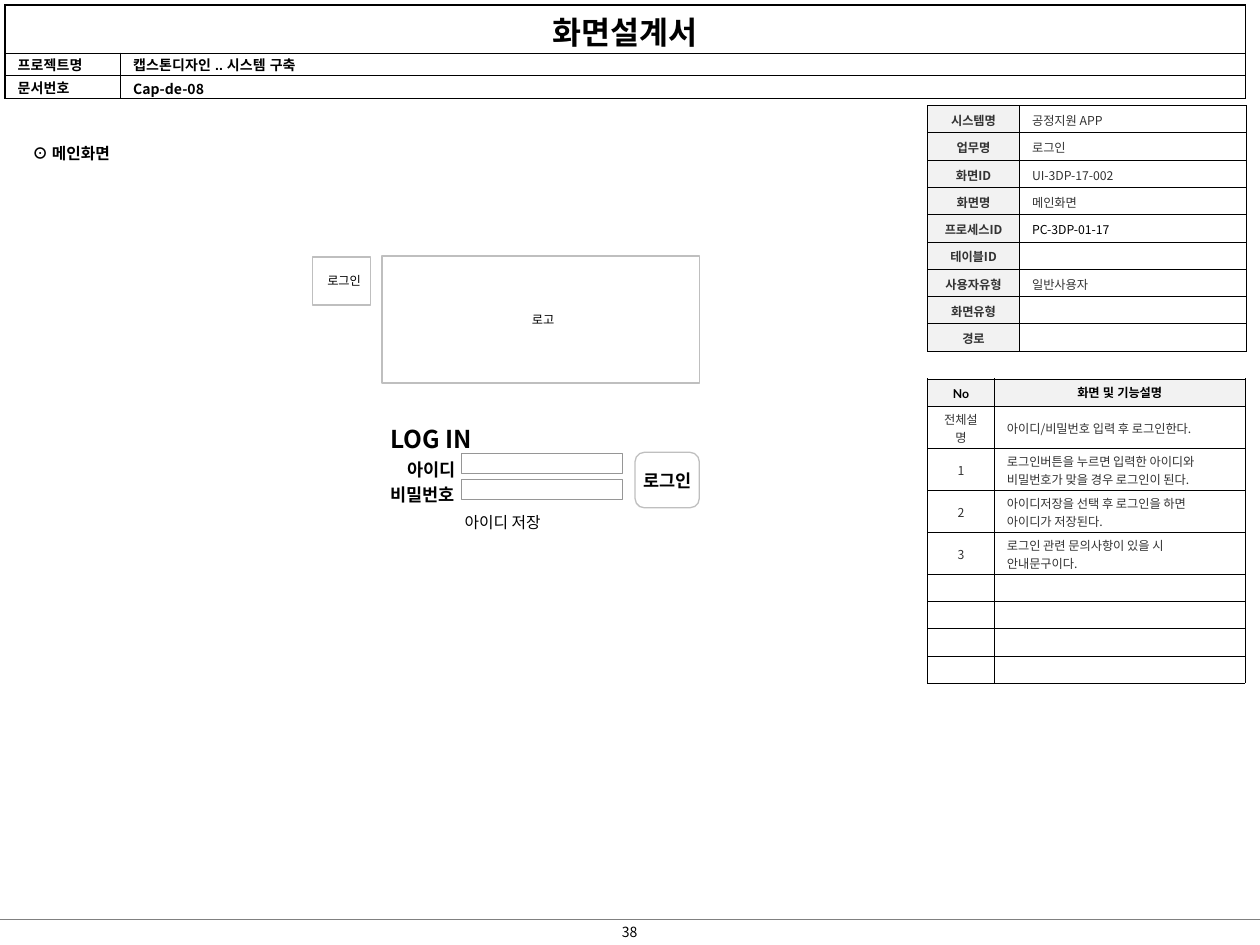
"""Build a screen design document slide for a login page."""
import pptx
import pptx.dml.color
import pptx.enum.shapes
import pptx.enum.text
import pptx.oxml.ns
import pptx.util
from lxml import etree

Pt = pptx.util.Pt
RGBColor = pptx.dml.color.RGBColor
Align = pptx.enum.text.PP_ALIGN
Anchor = pptx.enum.text.MSO_ANCHOR
ShapeType = pptx.enum.shapes.MSO_SHAPE
qn = pptx.oxml.ns.qn

BLACK = RGBColor(0x00, 0x00, 0x00)
DARK = RGBColor(0x33, 0x33, 0x33)
GRAY = RGBColor(0x80, 0x80, 0x80)
FIELD_LINE = RGBColor(0x96, 0x96, 0x96)
BOX_LINE = RGBColor(0xBF, 0xBF, 0xBF)
LABEL_FILL = RGBColor(0xF2, 0xF2, 0xF2)
WHITE = RGBColor(0xFF, 0xFF, 0xFF)
SANS = "Noto Sans CJK KR"
ARIAL = "Arial"
LATO = "Lato"

DOCUMENT_TITLE = "화면설계서"
DOCUMENT_ROWS = [
    ("프로젝트명", "캡스톤디자인 .. 시스템 구축", ARIAL),
    ("문서번호", "Cap-de-08", SANS),
]
SCREEN_ROWS = [
    ("시스템명", "공정지원 APP"),
    ("업무명", "로그인"),
    ("화면ID", "UI-3DP-17-002"),
    ("화면명", "메인화면"),
    ("프로세스ID", "PC-3DP-01-17"),
    ("테이블ID", ""),
    ("사용자유형", "일반사용자"),
    ("화면유형", ""),
    ("경로", ""),
]
FUNCTION_HEADER = [("No", LATO), ("화면 및 기능설명", ARIAL)]
FUNCTION_ROWS = [
    ("전체설명", "아이디/비밀번호 입력 후 로그인한다."),
    ("1", "로그인버튼을 누르면 입력한 아이디와 비밀번호가 맞을 경우 로그인이 된다."),
    ("2", "아이디저장을 선택 후 로그인을 하면 아이디가 저장된다."),
    ("3", "로그인 관련 문의사항이 있을 시 안내문구이다."),
] + [("", "")] * 4

ROW_HEIGHT = 15.6
TALL_ROW_HEIGHT = 24
SIDE_LEFT = 530

# text, box, size, bold, alignment, line spacing, insets, wrap
TEXT_BOXES = [
    ("38", (340, 524.2, 39.6, 17.3), 8, False, Align.CENTER, None, (7.2, 3.6), True),
    ("⊙ 메인화면", (11.5, 78.5, 62.6, 18), 9, True, Align.LEFT, None, (7.2, 3.6), False),
    ("LOG IN", (217.4, 236.2, 62.6, 20.2), 14, True, Align.LEFT, 1.2, (5.8, 2.9), True),
    ("아이디", (197.3, 257, 69.1, 18), 10, True, Align.RIGHT, 1.2, (5.8, 2.9), True),
    ("비밀번호", (189.4, 271.4, 76.3, 18), 10, True, Align.RIGHT, 1.2, (5.8, 2.9), True),
    ("아이디 저장", (235.4, 290.2, 103.7, 13.7), 9, False, Align.CENTER, None, (7.2, 2.9), True),
]
# text, kind, box, size, bold, line colour, line width, insets, wrap
BOXES = [
    ("로고", ShapeType.RECTANGLE, (218.2, 146.2, 181.4, 72.7), 7, False, BOX_LINE, 0.75, (5.8, 2.9), True),
    ("로그인", ShapeType.RECTANGLE, (178.6, 146.9, 33.1, 27.4), 7, False, BOX_LINE, 0.75, (5.8, 2.9), True),
    ("로그인", ShapeType.ROUNDED_RECTANGLE, (362.9, 258.5, 36.7, 31.7), 10, True, BOX_LINE, 0.75, (7.2, 7.2), False),
    ("", ShapeType.RECTANGLE, (263.5, 259.2, 92.2, 11.5), 7, False, FIELD_LINE, 0.25, (7.2, 7.2), True),
    ("", ShapeType.RECTANGLE, (263.5, 273.6, 92.2, 11.5), 7, False, FIELD_LINE, 0.25, (7.2, 7.2), True),
]


def points(values):
    return [Pt(value) for value in values]


def set_text(text_frame, text, size, bold=False, color=BLACK, font_name=SANS, alignment=Align.LEFT):
    text_frame.text = text
    paragraph = text_frame.paragraphs[0]
    paragraph.alignment = alignment
    for run in paragraph.runs:
        run.font.size, run.font.bold, run.font.name = Pt(size), bold, font_name
        run.font.color.rgb = color
        east_asian = etree.SubElement(run.font._element, qn("a:ea"))
        east_asian.set("typeface", font_name)
    if not text:
        etree.SubElement(paragraph._p, qn("a:endParaRPr")).set("sz", str(size * 100))


def add_borders(cell, width):
    properties = cell._tc.get_or_add_tcPr()
    for side in ("lnL", "lnR", "lnT", "lnB"):
        line = etree.SubElement(properties, qn(f"a:{side}"), w=str(int(Pt(width))))
        fill = etree.SubElement(line, qn("a:solidFill"))
        etree.SubElement(fill, qn("a:srgbClr"), val=str(BLACK))


def add_table(slide, left, top, widths, heights, border):
    box = points((left, top, sum(widths), sum(heights)))
    table = slide.shapes.add_table(len(heights), len(widths), *box).table
    table.first_row = table.horz_banding = False
    for column, width in zip(table.columns, widths):
        column.width = Pt(width)
    for row, height in zip(table.rows, heights):
        row.height = Pt(height)
    for cell in table.iter_cells():
        add_borders(cell, border)
        cell.fill.background()
        cell.margin_top, cell.margin_bottom = Pt(1.5), Pt(0)
        cell.vertical_anchor = Anchor.MIDDLE
    return table


def fill_cell(cell, fill, *arguments, **options):
    if fill is not None:
        cell.fill.solid()
        cell.fill.fore_color.rgb = fill
    set_text(cell.text_frame, *arguments, **options)


def add_document_table(slide):
    table = add_table(slide, 2.9, 2.9, (66, 642.7), (27.4, 12.6, 12.6), 1)
    table.cell(0, 0).merge(table.cell(0, 1))
    fill_cell(table.cell(0, 0), WHITE, DOCUMENT_TITLE, 18, True, alignment=Align.CENTER)
    for row, (label, value, value_font) in enumerate(DOCUMENT_ROWS, 1):
        fill_cell(table.cell(row, 0), WHITE, label, 8, True, font_name=ARIAL)
        fill_cell(table.cell(row, 1), WHITE, value, 8, True, font_name=value_font)


def add_screen_table(slide):
    table = add_table(slide, SIDE_LEFT, 60.2, (52.6, 129.6), [ROW_HEIGHT] * len(SCREEN_ROWS), 0.25)
    for row, (label, value) in enumerate(SCREEN_ROWS):
        value_color = BLACK if label == "프로세스ID" else DARK
        fill_cell(table.cell(row, 0), LABEL_FILL, label, 7, True, DARK, alignment=Align.CENTER)
        fill_cell(table.cell(row, 1), None, value, 7, False, value_color)


def add_function_table(slide):
    heights = [ROW_HEIGHT] + [TALL_ROW_HEIGHT if text else ROW_HEIGHT for _, text in FUNCTION_ROWS]
    table = add_table(slide, SIDE_LEFT, 216.4, (38.2, 143.3), heights, 0.25)
    for column, (label, font_name) in enumerate(FUNCTION_HEADER):
        fill_cell(table.cell(0, column), LABEL_FILL, label, 7, True, BLACK, font_name, Align.CENTER)
    for row, (number, description) in enumerate(FUNCTION_ROWS, 1):
        fill_cell(table.cell(row, 0), None, number, 7, False, DARK, alignment=Align.CENTER)
        fill_cell(table.cell(row, 1), None, description, 7, False, DARK)


def set_insets(text_frame, horizontal, vertical):
    text_frame.margin_left = text_frame.margin_right = Pt(horizontal)
    text_frame.margin_top = text_frame.margin_bottom = Pt(vertical)


def add_text_box(slide, text, box, size, bold, alignment, spacing, insets, wrap):
    text_frame = slide.shapes.add_textbox(*points(box)).text_frame
    set_text(text_frame, text, size, bold, alignment=alignment)
    set_insets(text_frame, *insets)
    text_frame.word_wrap = wrap
    text_frame.auto_size = pptx.enum.text.MSO_AUTO_SIZE.SHAPE_TO_FIT_TEXT
    text_frame.paragraphs[0].line_spacing = spacing


def add_box(slide, text, kind, box, size, bold, line_color, line_width, insets, wrap):
    shape = slide.shapes.add_shape(kind, *points(box))
    shape.shadow.inherit = False
    shape.fill.solid()
    shape.fill.fore_color.rgb = WHITE
    shape.line.color.rgb = line_color
    shape.line.width = Pt(line_width)
    if text:
        text_frame = shape.text_frame
        set_text(text_frame, text, size, bold, alignment=Align.CENTER)
        left_inset, right_inset = insets
        text_frame.margin_left, text_frame.margin_right = Pt(left_inset), Pt(right_inset)
        text_frame.vertical_anchor = Anchor.MIDDLE
        text_frame.word_wrap = wrap


def main():
    presentation = pptx.Presentation()
    presentation.slide_width, presentation.slide_height = Pt(720), Pt(540)
    slide = presentation.slides.add_slide(presentation.slide_layouts[6])
    footer_line = slide.shapes.add_connector(
        pptx.enum.shapes.MSO_CONNECTOR.STRAIGHT, *points((0, 525.6, 720, 525.6)))
    footer_line.line.color.rgb = GRAY
    footer_line.line.width = Pt(0.75)
    etree.SubElement(footer_line._element.spPr, qn("a:effectLst"))
    add_document_table(slide)
    add_function_table(slide)
    add_screen_table(slide)
    for box in BOXES:
        add_box(slide, *box)
    for text_box in TEXT_BOXES:
        add_text_box(slide, *text_box)
    presentation.save("out.pptx")


if __name__ == "__main__":
    main()
